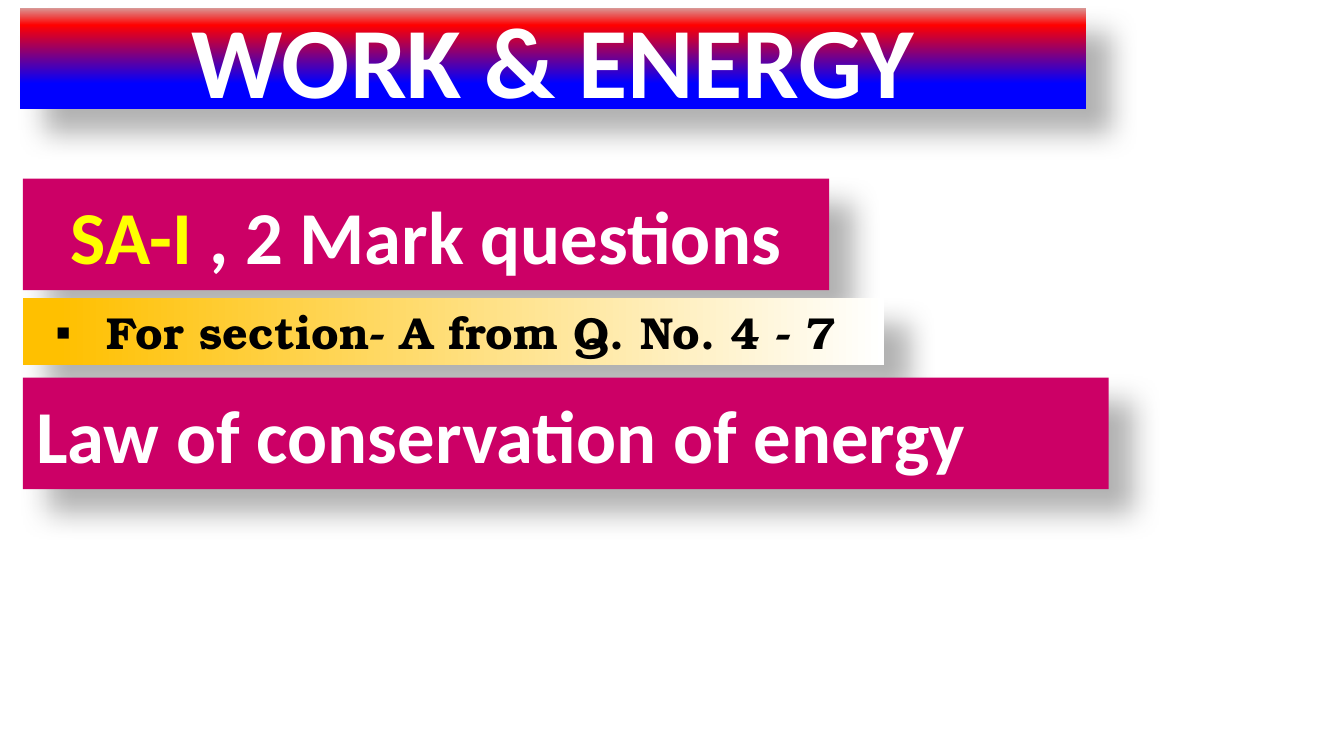
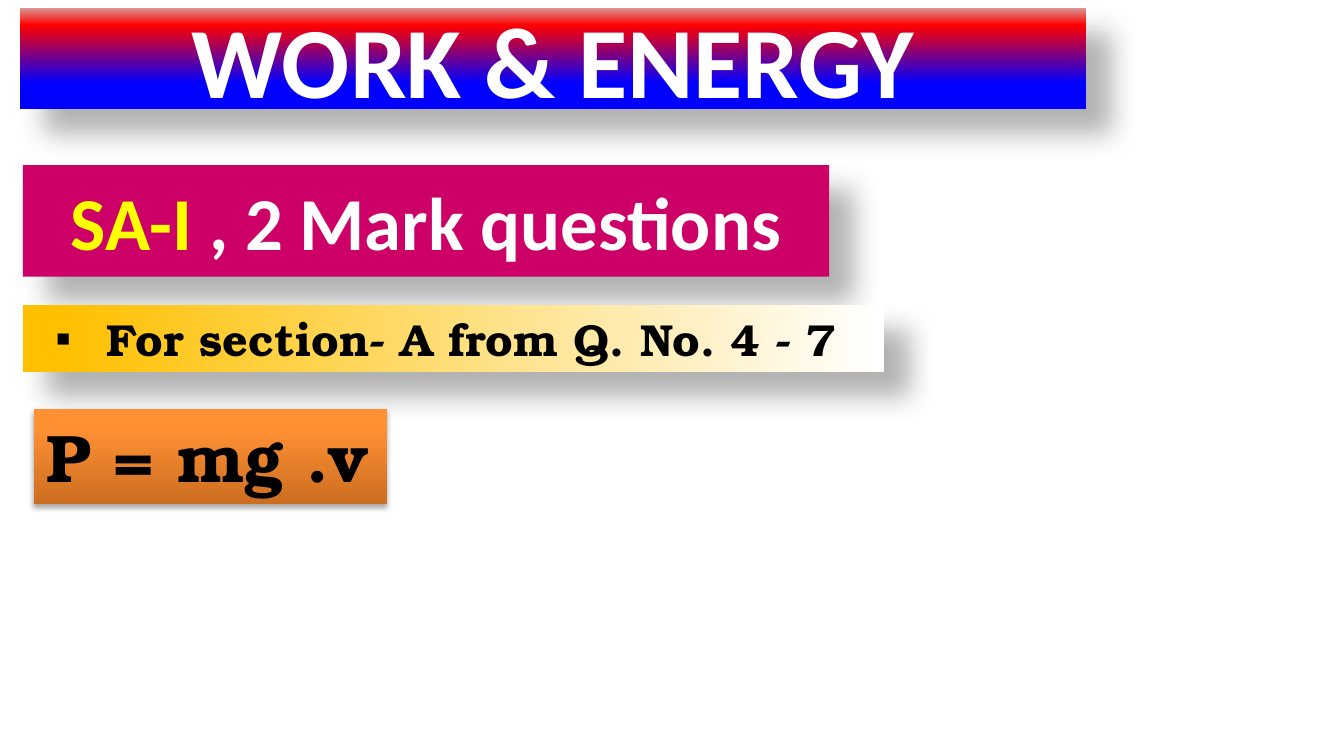
from lxml.etree import SubElement
from pptx import Presentation
from pptx.dml.color import RGBColor
from pptx.enum.shapes import MSO_SHAPE as Shape
from pptx.enum.text import MSO_ANCHOR as Anchor, MSO_AUTO_SIZE as AutoSize, PP_ALIGN as Align
from pptx.oxml.ns import qn
from pptx.util import Inches, Pt

COLORS = {
    "white": "FFFFFF", "black": "000000", "yellow": "FFFF00", "magenta": "CC0066",
    "blue": "0000FF", "red": "FF0000", "rose": "D99694", "gold": "FFC000",
    "rust": "CC6E20", "orange": "FF9034", "light orange": "FF9136",
}
SANS, SERIF = "Calibri", "TeX Gyre Bonum"

# Gradients: stops in percent, counter-clockwise angle
TITLE_FILL = ([(25, "blue"), (83, "red"), (100, "rose")], 90)
SECTION_FILL = ([(4, "gold"), (100, "white")], 0)
FORMULA_FILL = ([(0, "rust"), (80, "orange"), (100, "light orange")], 90)

# Shadows: opacity, blur, distance, direction, alignment
DEEP_SHADOW = (30, 15, 18, 45, "tl")
SOFT_SHADOW = (35, 3.1, 1.8, 90, "ctr")

# Content
TITLE = [("WORK & ENERGY", "white")]
MARKS = [("SA-I", "yellow"), (" , 2 Mark questions", "white")]
SECTION = [("For section- A from Q. No. 4 - 7 ", "black")]
LAW = [("Law of conservation of energy", "white")]
FORMULA = [("P = mg .v", "black")]

TITLE_AREA = (0.15, 0.06, 7.93, 0.75)
BAND_LEFT, BAND_HEIGHT = 0.17, 0.83
BAND = dict(fill="magenta", size=40)
GROWING = dict(font=SERIF, anchor=Anchor.TOP, grow=True)

SLIDES = [
    dict(marks_top=1.33, section_top=2.22, topic=LAW,
         area=(BAND_LEFT, 2.81, 8.08, BAND_HEIGHT), style=BAND),
    dict(marks_top=1.23, section_top=2.27, topic=FORMULA,
         area=(0.25, 3.04, 2.63, 0.71),
         style=dict(GROWING, fill=FORMULA_FILL, size=36, shadow=SOFT_SHADOW)),
]


def rgb(name):
    return RGBColor.from_string(COLORS[name])


def set_fill(box, fill):
    if isinstance(fill, str):
        box.fill.solid()
        box.fill.fore_color.rgb = rgb(fill)
        return
    stops, angle = fill
    box.fill.gradient()
    box.fill.gradient_angle = angle
    stop_list = next(box.element.iter(qn("a:gsLst")))
    for stop in list(stop_list):
        stop_list.remove(stop)
    for percent, color in stops:
        stop = SubElement(stop_list, qn("a:gs"), pos=str(percent * 1000))
        SubElement(stop, qn("a:srgbClr"), val=COLORS[color])


def set_shadow(box, shadow):
    opacity, blur, distance, direction, alignment = shadow
    box.shadow.inherit = False
    effects = next(box.element.iter(qn("a:effectLst")))
    outer = SubElement(effects, qn("a:outerShdw"), blurRad=str(Pt(blur)),
                       dist=str(Pt(distance)), dir=str(direction * 60000),
                       algn=alignment, rotWithShape="0")
    color = SubElement(outer, qn("a:srgbClr"), val=COLORS["black"])
    SubElement(color, qn("a:alpha"), val=str(opacity * 1000))


def add_bullet(para, symbol, indent):
    props = para._p.get_or_add_pPr()
    props.set("marL", str(Inches(indent)))
    props.set("indent", str(-Inches(indent)))
    SubElement(props, qn("a:buFont"), typeface="Arial")
    SubElement(props, qn("a:buChar"), char=symbol)


def write_banner(box, area, text, fill, size, font=SANS, align=Align.LEFT,
                 anchor=Anchor.MIDDLE, shadow=DEEP_SHADOW, grow=False, bullet=None):
    """Place a filled, shadowed box and write its coloured spans."""
    box.left, box.top, box.width, box.height = map(Inches, area)
    set_fill(box, fill)
    box.line.fill.background()
    set_shadow(box, shadow)
    frame = box.text_frame
    frame.word_wrap = not grow
    frame.auto_size = AutoSize.SHAPE_TO_FIT_TEXT if grow else AutoSize.NONE
    frame.vertical_anchor = anchor
    para = frame.paragraphs[0]
    para.alignment = align
    if bullet:
        add_bullet(para, bullet, 0.38)
    for words, color in text:
        span = para.add_run()
        span.text = words
        span.font.name, span.font.size, span.font.bold = font, Pt(size), True
        span.font.color.rgb = rgb(color)


def add_banner(page, area, text, **style):
    box = page.shapes.add_shape(Shape.RECTANGLE, *map(Inches, area))
    write_banner(box, area, text, **style)


def build_slide(deck, marks_top, section_top, topic, area, style):
    page = deck.slides.add_slide(deck.slide_layouts[5])
    # Shared heading
    write_banner(page.shapes.title, TITLE_AREA, TITLE, fill=TITLE_FILL, size=54,
                 align=Align.CENTER)
    # Question type and section
    add_banner(page, (BAND_LEFT, marks_top, 6, BAND_HEIGHT), MARKS,
               align=Align.CENTER, **BAND)
    add_banner(page, (BAND_LEFT, section_top, 6.41, 0.5), SECTION, fill=SECTION_FILL,
               size=24, align=Align.CENTER, bullet="▪", **GROWING)
    # Topic of this slide
    add_banner(page, area, topic, **style)


def main():
    deck = Presentation()
    # Widescreen, 16:9
    deck.slide_width = Inches(10)
    deck.slide_height = deck.slide_width * 9 // 16
    for slide in SLIDES:
        build_slide(deck, **slide)
    deck.save("out.pptx")


if __name__ == "__main__":
    main()
